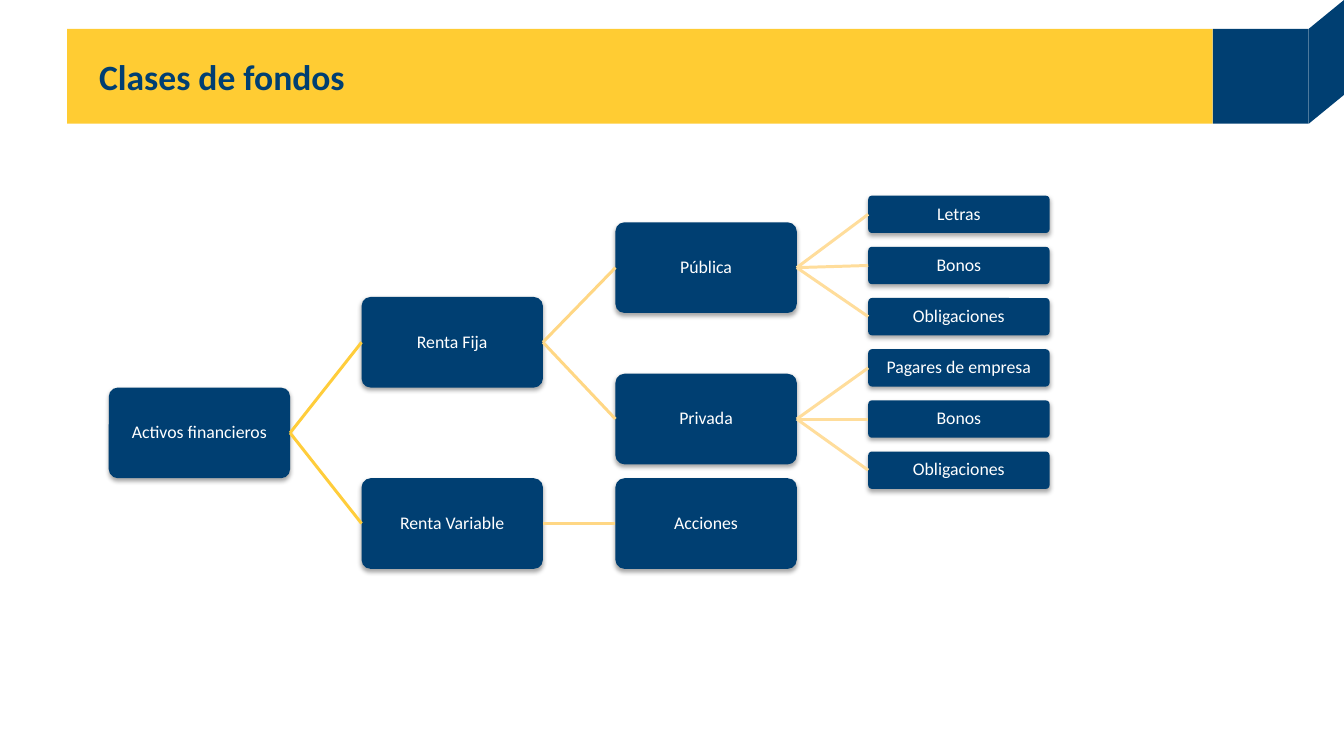
from lxml import etree
from pptx import Presentation
from pptx import util as u
from pptx.dml.color import RGBColor
from pptx.enum import shapes, text
from pptx.oxml.ns import qn

COLORS = {
    "navy": "003F72",
    "yellow": "FFCC33",
    "white": "FFFFFF",
    "shadow": "000000",
    "branches": ["FFCD3B", "FFD784", "FFDD9B"],
}
FONT = "Calibri"
COLUMNS = [1.02, 3.39, 5.77, 8.14]
NODE_WIDTH, NODE_HEIGHT, LEAF_HEIGHT = 1.7, 0.85, 0.35
FIRST_LEAF, LEAF_PITCH = 2.01, 0.48


def leaves(first, labels):
    return [(label, FIRST_LEAF + LEAF_PITCH * (first + i), [])
            for i, label in enumerate(labels)]


FUNDS = ("Activos financieros", 4.06, [
    ("Renta Fija", 3.21, [
        ("Pública", 2.51, leaves(0, ["Letras", "Bonos", "Obligaciones"])),
        ("Privada", 3.93, leaves(3, ["Pagares de empresa", "Bonos", "Obligaciones"])),
    ]),
    ("Renta Variable", 4.91, [("Acciones", 4.91, [])]),
])


def rgb(value):
    return RGBColor.from_string(value)


def add_block(slide, kind, box, color, rotation=0):
    block = slide.shapes.add_shape(kind, *map(u.Inches, box))
    block.shadow.inherit = False
    block.fill.solid()
    block.fill.fore_color.rgb = rgb(color)
    block.line.fill.background()
    block.rotation = rotation
    return block


def write(frame, words, size, color, insets, bold=False):
    frame.word_wrap = True
    frame.vertical_anchor = text.MSO_ANCHOR.MIDDLE
    (frame.margin_left, frame.margin_top,
     frame.margin_right, frame.margin_bottom) = map(u.Inches, insets)
    paragraph = frame.paragraphs[0]
    run = paragraph.add_run()
    run.text = words
    run.font.name = FONT
    run.font.size = u.Pt(size)
    run.font.bold = bold
    run.font.color.rgb = rgb(color)
    return paragraph


def add_header(slide, left, top, width, height):
    kinds = shapes.MSO_SHAPE
    navy = COLORS["navy"]
    edge = left + width
    band = 10.74
    fold_left, fold_width, fold_height = edge - 0.33, 0.33, 0.27
    inset = (fold_width - fold_height) / 2

    add_block(slide, kinds.RECTANGLE, (left, top, band, height), COLORS["yellow"])
    add_block(slide, kinds.RECTANGLE,
              (left + band, top, fold_left - left - band, height), navy)
    for fold_top, rotation in ((top - fold_height, 270), (top + height - fold_height, 90)):
        add_block(slide, kinds.RIGHT_TRIANGLE,
                  (fold_left + inset, fold_top - inset, fold_height, fold_width),
                  navy, rotation)
    add_block(slide, kinds.RECTANGLE,
              (fold_left, top, fold_width, height - fold_height), navy)

    title = slide.shapes.add_textbox(*map(u.Inches, (left, top, band, height)))
    write(title.text_frame, "Clases de fondos", 24, navy, (0.3, 0.04, 0.1, 0.04), True)


def add_soft_shadow(node):
    effects = node._element.spPr.find(qn("a:effectLst"))
    shadow = etree.SubElement(effects, qn("a:outerShdw"), blurRad="39400",
                              dist="22900", dir="5400000", rotWithShape="0")
    tint = etree.SubElement(shadow, qn("a:srgbClr"), val=COLORS["shadow"])
    etree.SubElement(tint, qn("a:alpha"), val="35000")


def add_node(slide, label, left, middle, height):
    node = add_block(slide, shapes.MSO_SHAPE.ROUNDED_RECTANGLE,
                     (left, middle - height / 2, NODE_WIDTH, height), COLORS["navy"])
    node.adjustments[0] = 0.1
    add_soft_shadow(node)
    inset = 0.03 if height == NODE_HEIGHT else 0.02
    paragraph = write(node.text_frame, label, 12, COLORS["white"], [inset] * 4)
    paragraph.alignment = text.PP_ALIGN.CENTER
    paragraph.line_spacing = 0.9
    paragraph.space_after = u.Pt(4.2)
    return node


def add_branch(slide, parent, child, color):
    branch = slide.shapes.add_connector(shapes.MSO_CONNECTOR.STRAIGHT, 0, 0, 0, 0)
    branch.begin_connect(parent, 3)
    branch.end_connect(child, 1)
    branch.line.color.rgb = rgb(color)
    branch.line.width = u.Pt(2)
    etree.SubElement(branch._element.spPr, qn("a:effectLst"))


def add_tree(slide, entry, level=0):
    label, middle, children = entry
    height = LEAF_HEIGHT if level == len(COLUMNS) - 1 else NODE_HEIGHT
    node = add_node(slide, label, COLUMNS[level], middle, height)
    for child in children:
        child_node = add_tree(slide, child, level + 1)
        add_branch(slide, node, child_node, COLORS["branches"][level])
    return node


def main():
    deck = Presentation()
    deck.slide_width, deck.slide_height = u.Inches(12.6), u.Inches(7.09)
    slide = deck.slides.add_slide(deck.slide_layouts[6])
    add_header(slide, 0.63, 0.27, 11.97, 0.89)
    add_tree(slide, FUNDS)
    deck.save("out.pptx")


if __name__ == "__main__":
    main()
